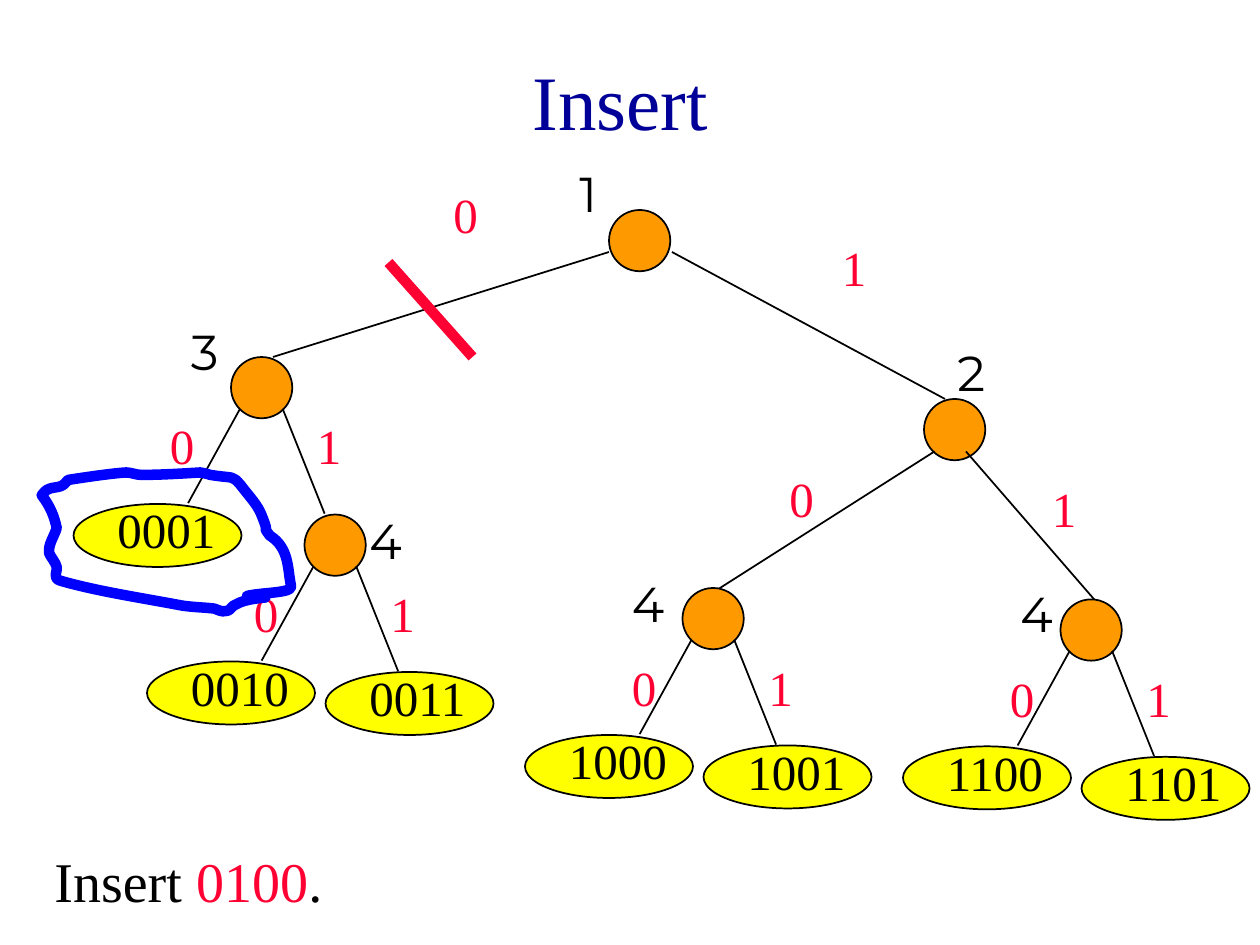
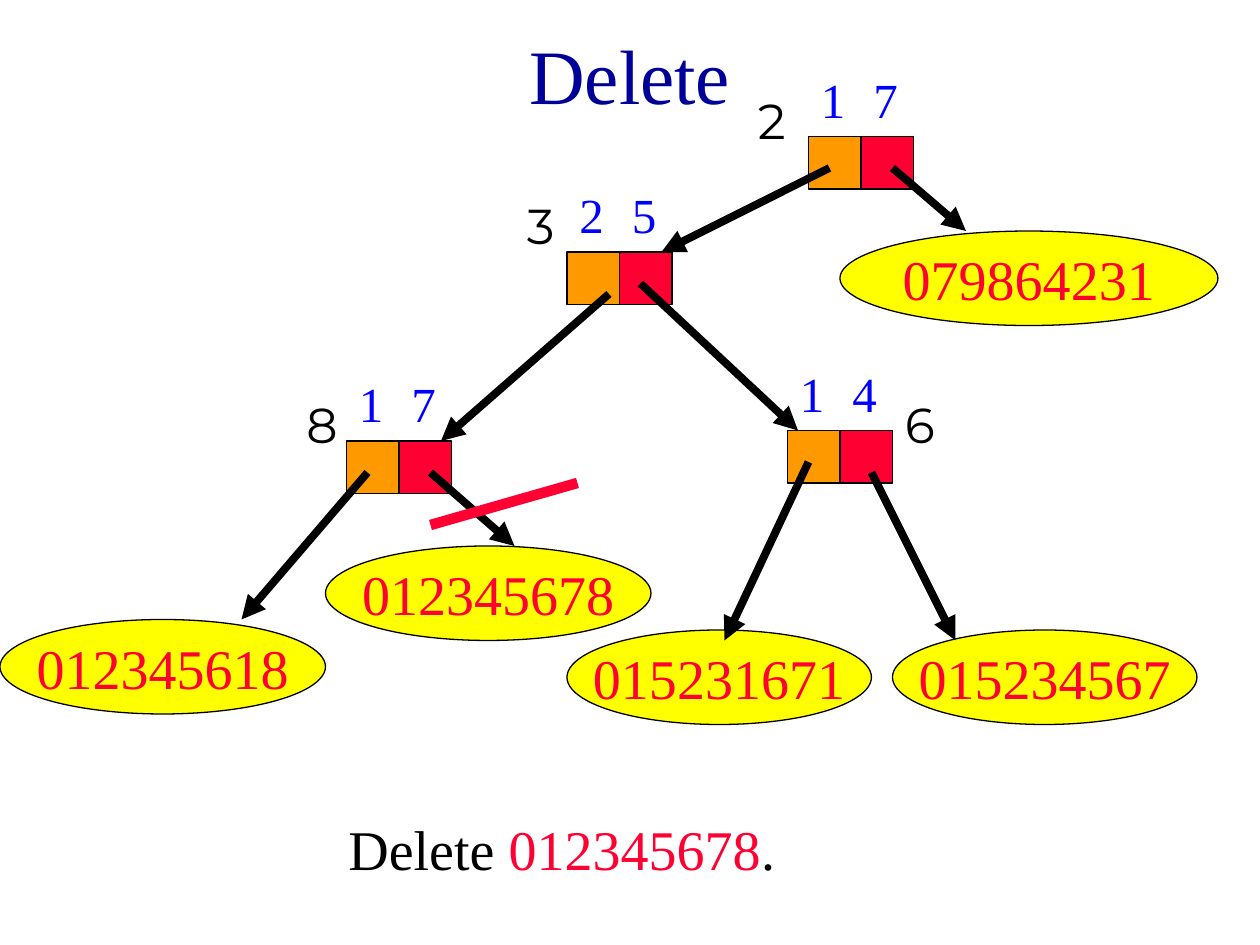
from dataclasses import dataclass
from pptx import Presentation
from pptx.dml.color import RGBColor
from pptx.enum.shapes import MSO_CONNECTOR, MSO_SHAPE
from pptx.enum.text import MSO_ANCHOR, PP_ALIGN
from pptx.oxml.ns import qn
from pptx.util import Pt
from lxml.etree import SubElement


@dataclass(frozen=True)
class Theme:
    serif: str = "Times New Roman"
    sans: str = "Montserrat"
    title: str = "000099"
    ink: str = "000000"
    number: str = "010000"
    accent: str = "FF0033"
    blue: str = "0000FF"
    node: str = "FF9900"
    leaf: str = "FFFF00"
    paper: str = "FFFFFF"
    title_size: int = 44
    body_size: int = 32
    label_size: int = 28


THEME = Theme()
NODE_SIZE = 35
CELL = 30
LEAF_WIDTH, LEAF_HEIGHT = 96, 36
LOOP_UNITS = 10  # loop units in one point

# Hand-drawn loop: start point, then Bezier segments (two controls, end)
LOOP_START = (141.1, 340.6)
LOOP_CURVES = [
    ((149.8, 338.4), (167.8, 339.1), (166.3, 334.8)),
    ((164.2, 325.4), (165.6, 313.2), (154.1, 306)),
    ((149, 298.8), (154.8, 307.4), (149.8, 295.2)),
    ((147.6, 288.7), (141.8, 283), (137.5, 277.2)),
    ((132.5, 271.4), (133.9, 273.6), (120.2, 271.4)),
    ((118.1, 270.7), (114.5, 270), (114.5, 270)),
    ((103, 270.7), (92.2, 271.4), (80.6, 271.4)),
    ((77.8, 271.4), (74.9, 270), (72, 270)),
    ((61.2, 270.7), (38.9, 274.3), (38.9, 274.3)),
    ((37.4, 275.8), (36.7, 277.2), (34.6, 277.9)),
    ((33.1, 278.6), (29.5, 278.6), (28.1, 279.4)),
    ((25.9, 280.1), (25.2, 281.5), (23.8, 283)),
    ((28.8, 289.4), (31, 295.2), (32.4, 301.7)),
    ((31, 306.7), (27.4, 311), (28.1, 316.1)),
    ((28.8, 318.2), (31.7, 321.1), (32.4, 324)),
    ((33.1, 326.2), (29.5, 330.5), (34.6, 331.9)),
    ((54.7, 337.7), (78.5, 341.3), (101.5, 345.6)),
    ((108, 347), (115.9, 347), (122.4, 347.8)),
    ((124.6, 348.5), (126.7, 349.9), (128.9, 349.2)),
    ((131, 349.2), (131.8, 347.8), (133.2, 346.3)),
    ((134.6, 345.6), (136.8, 344.2), (139.7, 343.4)),
    ((150.5, 340.6), (159.8, 342), (141.1, 340.6)),
]


def color(value):
    return RGBColor.from_string(value)


def points(*lengths):
    return [Pt(length) for length in lengths]


def write(frame, runs, size, font=THEME.serif, align=PP_ALIGN.LEFT, **frame_format):
    """Fill a text frame with (text, colour) runs."""
    for name, value in {"word_wrap": True, **frame_format}.items():
        setattr(frame, name, value)
    paragraph = frame.paragraphs[0]
    paragraph.alignment = align
    for text, ink in runs:
        run = paragraph.add_run()
        run.text = text
        for name, value in {"name": font, "size": Pt(size)}.items():
            setattr(run.font, name, value)
        run.font.color.rgb = color(ink)


def add_text(slide, box, runs, size=THEME.label_size, **text_format):
    holder = slide.shapes.add_textbox(*points(*box))
    write(holder.text_frame, runs, size, **text_format)
    return holder


def add_title(slide, text, height):
    add_text(slide, (54, 12, 612, height), [(text, THEME.title)], THEME.title_size,
             align=PP_ALIGN.CENTER, vertical_anchor=MSO_ANCHOR.MIDDLE)


def add_caption(slide, box, verb, key):
    runs = [(verb + " ", THEME.ink), (key, THEME.accent), (".", THEME.ink)]
    caption = add_text(slide, box, runs, THEME.body_size)
    caption.fill.solid()
    caption.fill.fore_color.rgb = color(THEME.paper)


def add_number(slide, x, y, text):
    add_text(slide, (x, y, 48, 41), [(text, THEME.number)], font=THEME.sans)


def add_bit(slide, x, y, text):
    add_text(slide, (x, y, 36, 41), [(text, THEME.accent)])


def add_figure(slide, kind, box, fill, line_width):
    figure = slide.shapes.add_shape(kind, *points(*box))
    figure.shadow.inherit = False
    figure.fill.solid()
    figure.fill.fore_color.rgb = color(fill)
    figure.line.color.rgb = color(THEME.ink)
    figure.line.width = Pt(line_width)
    return figure


def add_line(slide, start, end, ink=THEME.ink, width=1, arrow=False):
    line = slide.shapes.add_connector(MSO_CONNECTOR.STRAIGHT, *points(*start, *end))
    line.line.color.rgb = color(ink)
    line.line.width = Pt(width)
    if arrow:
        SubElement(line.line._get_or_add_ln(), qn("a:tailEnd"), type="triangle")
    SubElement(line._element.spPr, qn("a:effectLst"))


def add_strike(slide, start, end):
    add_line(slide, start, end, THEME.accent, 6)


def add_node(slide, x, y):
    add_figure(slide, MSO_SHAPE.OVAL, (x, y, NODE_SIZE, NODE_SIZE), THEME.node, 1)


def add_small_leaf(slide, x, y, key):
    add_figure(slide, MSO_SHAPE.OVAL, (x, y, LEAF_WIDTH, LEAF_HEIGHT), THEME.leaf, 1)
    add_text(slide, (x + 18, y - 6, 84, 41), [(key, THEME.ink)])


def add_branch(slide, x, y, left_key, right_key, bit_left=36, bit_drop=36):
    """Node with two edges, their bits and the leaves that hang from it."""
    add_node(slide, x, y)
    add_line(slide, (x + 5.25, y + 29.5), (x - 24.5, y + 83.5))
    add_line(slide, (x + 29.5, y + 29.5), (x + 53.5, y + 89.5))
    add_bit(slide, x - bit_left, y + bit_drop, "0")
    add_bit(slide, x + 42, y + bit_drop, "1")
    add_small_leaf(slide, x - 90, y + 84, left_key)
    if right_key:
        add_small_leaf(slide, x + 12, y + 90, right_key)


def add_loop(slide, start, curves):
    ends = [start] + [curve[-1] for curve in curves]
    left, top = (min(end[axis] for end in ends) for axis in (0, 1))
    scaled = [tuple(value * LOOP_UNITS for value in end) for end in ends]
    builder = slide.shapes.build_freeform(*scaled[0], scale=Pt(1) / LOOP_UNITS)
    builder.add_line_segments(scaled[1:], close=True)
    loop = builder.convert_to_shape()

    # Bend each straight segment into its Bezier curve
    for segment, curve in zip(list(loop._element.iter(qn("a:lnTo"))), curves):
        segment.clear()
        segment.tag = qn("a:cubicBezTo")
        for x, y in curve:
            SubElement(segment, qn("a:pt"), x=str(round((x - left) * LOOP_UNITS)),
                       y=str(round((y - top) * LOOP_UNITS)))
    loop.shadow.inherit = False
    loop.fill.background()
    loop.line.color.rgb = color(THEME.blue)
    loop.line.width = Pt(6)


def add_record(slide, x, y, digits):
    """Pair of cells with a digit above each."""
    for column, (digit, fill) in enumerate(zip(digits, (THEME.node, THEME.accent))):
        left = x + column * CELL
        add_figure(slide, MSO_SHAPE.RECTANGLE, (left, y, CELL, CELL), fill, 0.75)
        add_text(slide, (left, y - 42, 25, 41), [(digit, THEME.blue)])


def add_big_leaf(slide, x, y, width, key):
    leaf = add_figure(slide, MSO_SHAPE.OVAL, (x, y, width, 54), THEME.leaf, 0.75)
    write(leaf.text_frame, [(key, THEME.accent)], THEME.body_size, align=PP_ALIGN.CENTER,
          word_wrap=False, vertical_anchor=MSO_ANCHOR.MIDDLE)


def build_insert(slide):
    add_title(slide, "Insert ", 90)
    add_caption(slide, (24, 480, 228, 45), "Insert", "0100")

    # Upper tree
    for x, y in [(348, 120), (528, 228)]:
        add_node(slide, x, y)
    for start, end in [((348, 144), (156, 204)), ((384, 144), (540, 228)),
                       ((534, 258), (402, 342)), ((552, 258), (630, 348))]:
        add_line(slide, start, end)
    for x, y, bit in [(252, 102, "0"), (474, 132, "1"), (444, 264, "0"), (594, 270, "1")]:
        add_bit(slide, x, y, bit)

    # Lower branches
    add_branch(slide, 132, 204, "0001", None, bit_left=42, bit_drop=30)
    add_branch(slide, 174, 294, "0010", "0011")
    add_branch(slide, 390, 336, "1000", "1001")
    add_branch(slide, 606, 342.5, "1100", "1101")

    # Bit numbers beside the nodes
    for x, y, number in [(324, 90, "1"), (540, 192, "2"), (102, 180, "3"),
                         (354, 324, "4"), (576, 330, "4"), (204, 288, "4")]:
        add_number(slide, x, y, number)

    # Marks
    add_loop(slide, LOOP_START, LOOP_CURVES)
    add_strike(slide, (222, 150), (270, 204))


def build_delete(slide):
    add_title(slide, "Delete", 60)

    # Records and their bit numbers
    for x, y, digits in [(462, 78, "17"), (324, 144, "25"), (198, 252, "17"), (450, 246, "14")]:
        add_record(slide, x, y, digits)
    for x, y, number in [(426, 48, "2"), (294, 108, "3"), (168, 222, "8"), (510, 222, "6")]:
        add_number(slide, x, y, number)

    # Leaves
    for x, y, width, key in [(480, 132, 216, "079864231"), (186, 312, 186, "012345678"),
                             (0, 354, 186, "012345618"), (324, 360, 174, "015231671"),
                             (510, 360, 174, "015234567")]:
        add_big_leaf(slide, x, y, width, key)

    # Pointers
    for start, end in [((474, 96), (378, 144)), ((510, 96), (552, 132)),
                       ((348, 168), (252, 252)), ((366, 162), (456, 246)),
                       ((210, 270), (138, 354)), ((246, 270), (294, 312)),
                       ((462, 264), (414, 366)), ((498, 270), (546, 366))]:
        add_line(slide, start, end, width=4.5, arrow=True)

    add_caption(slide, (192, 462, 264, 54), "Delete", "012345678")
    add_strike(slide, (246, 300), (330, 276))


def main():
    deck = Presentation()
    deck.slide_width, deck.slide_height = points(720, 540)
    for build in (build_insert, build_delete):
        slide = deck.slides.add_slide(deck.slide_layouts[6])
        slide.background.fill.solid()
        slide.background.fill.fore_color.rgb = color(THEME.paper)
        build(slide)
    deck.save("out.pptx")


if __name__ == "__main__":
    main()
